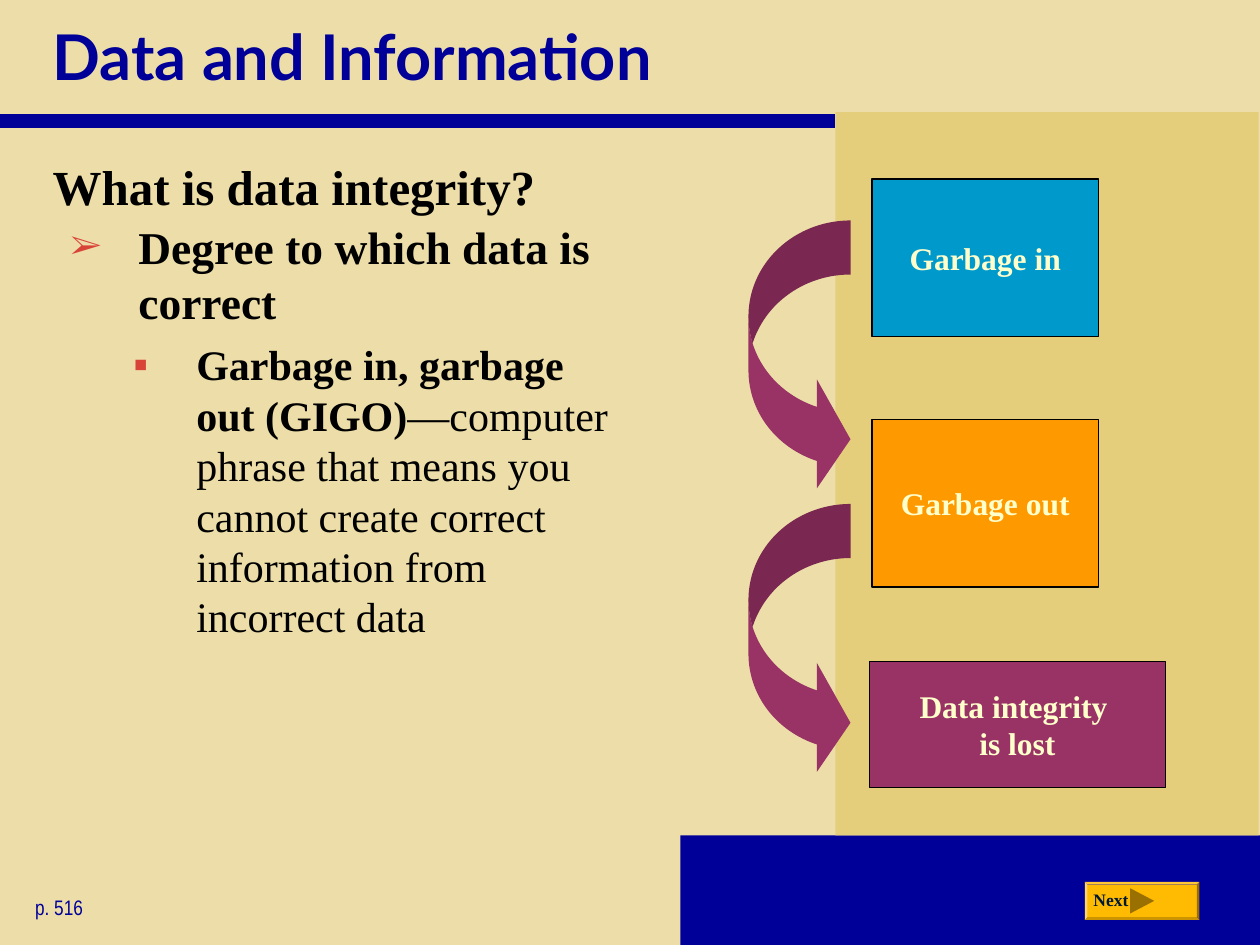
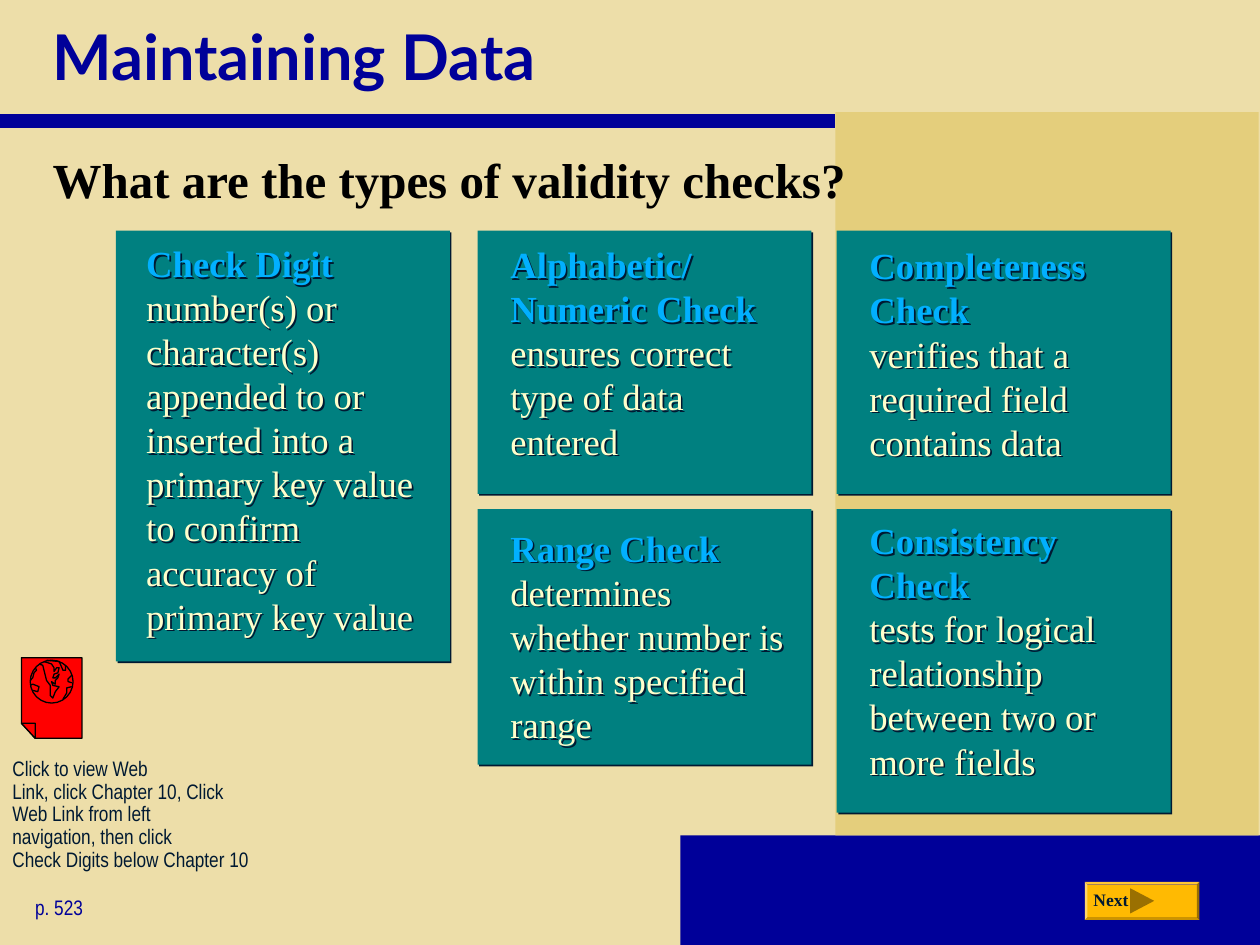
from lxml import etree
from pptx import Presentation, util as u
from pptx.dml.color import RGBColor
from pptx.enum import shapes, text
from pptx.oxml.ns import qn

WIDE, HIGH = 10, 7.5
SAND, GOLD, NAVY, INK = "EDDEA9", "E4CE7C", "000099", "001932"
BLACK, CREAM, PLUM, TEAL, SKY = "000000", "FFFFCC", "993366", "008080", "01B0FF"
RED, AMBER, BROWN, CORAL = "FF0000", "FFBA02", "9A7001", "D94439"
SERIF, SANS, NARROW = "Times New Roman", "Lato", "Arial Narrow"
PAD = (0.1, 0.05, 0.1, 0.05)

HEADS = [
    ("Data and Information", "What is data integrity?", 1, "p. 516"),
    ("Maintaining Data", "What are the types of validity checks?", 0.9, "p. 523"),
]
POINTS = [
    dict(runs=[("Degree to which data is correct", 26, BLACK, True)],
         level=1, left=0.67, hang=0.54, mark="➢", scale=75),
    dict(runs=[("Garbage in, garbage out (GIGO)", 24, BLACK, True),
               ("—computer phrase that means you cannot create correct "
                "information from incorrect data", 24, BLACK, False)],
         level=2, left=1.13, hang=0.5, mark="▪", scale=100, before=6),
]
STEPS = [
    ("Garbage in", "0099CC", (6.92, 1.42, 1.8, 1.25)),
    ("Garbage out", "FF9900", (6.92, 3.33, 1.8, 1.33)),
    ("Data integrity \vis lost", PLUM, (6.9, 5.25, 2.35, 1)),
]
BENDS = [1.75, 4]
COLS, ROWS, CARD = (0.92, 3.79, 6.64), (1.83, 4.04), 2.65
EDGES = (0.91, 3.8, 6.65)
CARDS = [
    (0, 0, 3.42, 0.08, "Check Digit \v",
     "number(s) or character(s) appended to or inserted into a primary key "
     "value to confirm accuracy of primary key value"),
    (1, 0, 2.09, 0.09, "Alphabetic/\vNumeric Check",
     " ensures correct type of data entered"),
    (2, 0, 2.09, 0.1, "Completeness Check\v",
     "verifies that a required field contains data"),
    (1, 1, 2.03, 0.13, "Range Check",
     " determines whether number is within specified range"),
    (2, 1, 2.41, 0.07, "Consistency Check \v",
     "tests for logical relationship between two or more fields"),
]
LINK = ("Click to view Web \vLink, click Chapter 10, Click \vWeb Link from left "
        "\vnavigation, then click \vCheck Digits below Chapter 10")
PAGE = [(0.17, 5.22), (0.65, 5.22), (0.65, 5.86), (0.28, 5.86), (0.17, 5.74)]
FOLD = [(0.17, 5.74), (0.28, 5.74), (0.28, 5.86)]
LANDS = [
    [(0.35, 5.25), (0.41, 5.27), (0.43, 5.3), (0.43, 5.33), (0.45, 5.3),
     (0.47, 5.3), (0.46, 5.34), (0.43, 5.35), (0.42, 5.38), (0.44, 5.38),
     (0.47, 5.35), (0.46, 5.38), (0.44, 5.4), (0.44, 5.43), (0.41, 5.41),
     (0.42, 5.44), (0.47, 5.45), (0.44, 5.49), (0.42, 5.54), (0.4, 5.52),
     (0.4, 5.44), (0.37, 5.4), (0.35, 5.32), (0.34, 5.28), (0.31, 5.27)],
    [(0.24, 5.4), (0.26, 5.38), (0.27, 5.34), (0.29, 5.32), (0.28, 5.3)],
    [(0.24, 5.44), (0.26, 5.43), (0.31, 5.45), (0.3, 5.49), (0.26, 5.48)],
    [(0.5, 5.55), (0.53, 5.5), (0.53, 5.46), (0.57, 5.45)],
    [(0.57, 5.42), (0.54, 5.41), (0.54, 5.39), (0.57, 5.36)],
    [(0.37, 5.24), (0.47, 5.25), (0.5, 5.32), (0.52, 5.32), (0.52, 5.28)],
]


def hue(code):
    return RGBColor.from_string(code)


def put(item, **vals):
    for name, val in vals.items():
        setattr(item, name, val)


def inch(nums):
    return [u.Inches(n) for n in nums]


def node(base, tag, **vals):
    return etree.SubElement(base, qn("a:" + tag), {k: str(v) for k, v in vals.items()})


def shade(shp):
    props = shp._element.spPr
    for old in props.findall(qn("a:effectLst")):
        props.remove(old)
    glow = node(node(props, "effectLst"), "outerShdw", dist=int(u.Pt(1.4)),
                dir=45 * 60000, algn="ctr", rotWithShape=0)
    node(glow, "srgbClr", val=INK)


def paint(shp, fill=None, line=None):
    shp.shadow.inherit = False
    if fill:
        shp.fill.solid()
        shp.fill.fore_color.rgb = hue(fill)
    else:
        shp.fill.background()
    if line:
        shp.line.color.rgb = hue(line)
        shp.line.width = u.Pt(0.75)
    else:
        shp.line.fill.background()
    return shp


def form(sld, kind, box, fill=None, line=None):
    return paint(sld.shapes.add_shape(kind, *inch(box)), fill, line)


def trace(sld, pts, fill=None, line=None, close=True):
    dots = [(round(x * 100), round(y * 100)) for x, y in pts]
    pen = sld.shapes.build_freeform(*dots[0], scale=u.Inches(0.01))
    pen.add_line_segments(dots[1:], close=close)
    return paint(pen.convert_to_shape(), fill, line)


def write(par, runs, font=SERIF):
    for words, size, tone, bold in runs:
        for i, part in enumerate(words.split("\v")):
            if i:
                par.add_line_break()
            if not part:
                continue
            run = par.add_run()
            run.text = part
            put(run.font, name=font, size=u.Pt(size), bold=bold)
            run.font.color.rgb = hue(tone)


def frame(shp, pad=PAD, wrap=True, mid=False):
    sides = ("margin_left", "margin_top", "margin_right", "margin_bottom")
    put(shp.text_frame, **dict(zip(sides, inch(pad))), word_wrap=wrap,
        vertical_anchor=text.MSO_ANCHOR.MIDDLE if mid else text.MSO_ANCHOR.TOP)
    return shp.text_frame


def label(sld, box, runs, font=SERIF, pad=PAD, mid=False, glow=False, **fmt):
    shp = sld.shapes.add_textbox(*inch(box))
    if glow:
        shade(shp)
    par = frame(shp, pad, True, mid).paragraphs[0]
    put(par, **fmt)
    write(par, runs, font)
    return par


def indent(par, left, hang=0):
    props = par._p.get_or_add_pPr()
    props.set("marL", str(int(u.Inches(left))))
    props.set("indent", str(-int(u.Inches(hang))))
    return props


def base(deck, title, ask, lead, page):
    sld = deck.slides.add_slide(deck.slide_layouts[6])
    sld.background.fill.solid()
    sld.background.fill.fore_color.rgb = hue(SAND)
    rect = shapes.MSO_SHAPE.RECTANGLE
    form(sld, rect, (5.4, 6.63, WIDE - 5.4, HIGH - 6.63), NAVY)
    form(sld, rect, (6.63, 0.89, 3.36, 5.74), GOLD)
    rule = sld.shapes.add_connector(shapes.MSO_CONNECTOR.STRAIGHT,
                                    *inch((0, 0.96, 6.63, 0.96)))
    rule.line.color.rgb = hue(NAVY)
    rule.line.width = u.Pt(8)
    node(rule._element.spPr, "effectLst")
    label(sld, (0.32, 0, 9.39, 0.88), [(title, 36, NAVY, True)], SANS, mid=True)
    label(sld, (0.32, 1.19, 9.39, 0.72), [(ask, 28, BLACK, True)], line_spacing=lead)
    label(sld, (0.18, 7.05, 1.69, 0.3), [(page, 12, NAVY, False)], NARROW)
    key = form(sld, shapes.MSO_SHAPE.BEVEL, (8.61, 7, 0.91, 0.3), AMBER)
    key.adjustments[0] = 0.07
    trace(sld, [(8.97, 7.05), (9.16, 7.15), (8.97, 7.25)], BROWN)
    label(sld, (8.58, 7.01, 0.51, 0.27), [("Next", 10, INK, True)])
    return sld


def flow(sld):
    body = frame(sld.shapes.add_textbox(*inch((0.33, 1.69, 4.67, 3.72))))
    for i, item in enumerate(POINTS):
        par = body.add_paragraph() if i else body.paragraphs[0]
        par.level = item["level"]
        if "before" in item:
            par.space_before = u.Pt(item["before"])
        props = indent(par, item["left"], item["hang"])
        node(node(props, "buClr"), "srgbClr", val=CORAL)
        node(props, "buSzPct", val=item["scale"] * 1000)
        node(props, "buFont", typeface=SERIF)
        node(props, "buChar", char=item["mark"])
        write(par, item["runs"])
    for words, fill, box in STEPS:
        shp = form(sld, shapes.MSO_SHAPE.RECTANGLE, box, fill, BLACK)
        par = frame(shp, wrap=False, mid=True).paragraphs[0]
        par.alignment = text.PP_ALIGN.CENTER
        write(par, [(words, 18, CREAM, True)])
    for top in BENDS:
        bend = form(sld, shapes.MSO_SHAPE.CURVED_RIGHT_ARROW, (5.94, top, 0.81, 2.17), PLUM)
        for i, val in enumerate((0.53, 1.07, 0.33)):
            bend.adjustments[i] = val


def checks(sld):
    for col, row, tall, drop, name, note in CARDS:
        y = ROWS[row]
        shade(form(sld, shapes.MSO_SHAPE.RECTANGLE, (COLS[col], y, CARD, tall), TEAL))
        par = label(sld, (EDGES[col], y + drop, 2.48, tall - 0.25),
                    [(name, 21, SKY, True), (note, 21, CREAM, False)],
                    pad=(0, 0, 0, 0), glow=True, level=2)
        indent(par, 0.25)
    label(sld, (0, 5.97, 2.17, 0.67), [(LINK, 12, INK, False)], NARROW, line_spacing=0.9)
    trace(sld, PAGE, RED, BLACK)
    trace(sld, FOLD, RED, BLACK)
    form(sld, shapes.MSO_SHAPE.OVAL, (0.24, 5.24, 0.34, 0.34), RED, BLACK)
    for land in LANDS:
        trace(sld, land, line=BLACK, close=False)


def main():
    deck = Presentation()
    put(deck, slide_width=u.Inches(WIDE), slide_height=u.Inches(HIGH))
    for head, draw in zip(HEADS, (flow, checks)):
        draw(base(deck, *head))
    deck.save("out.pptx")


if __name__ == "__main__":
    main()
